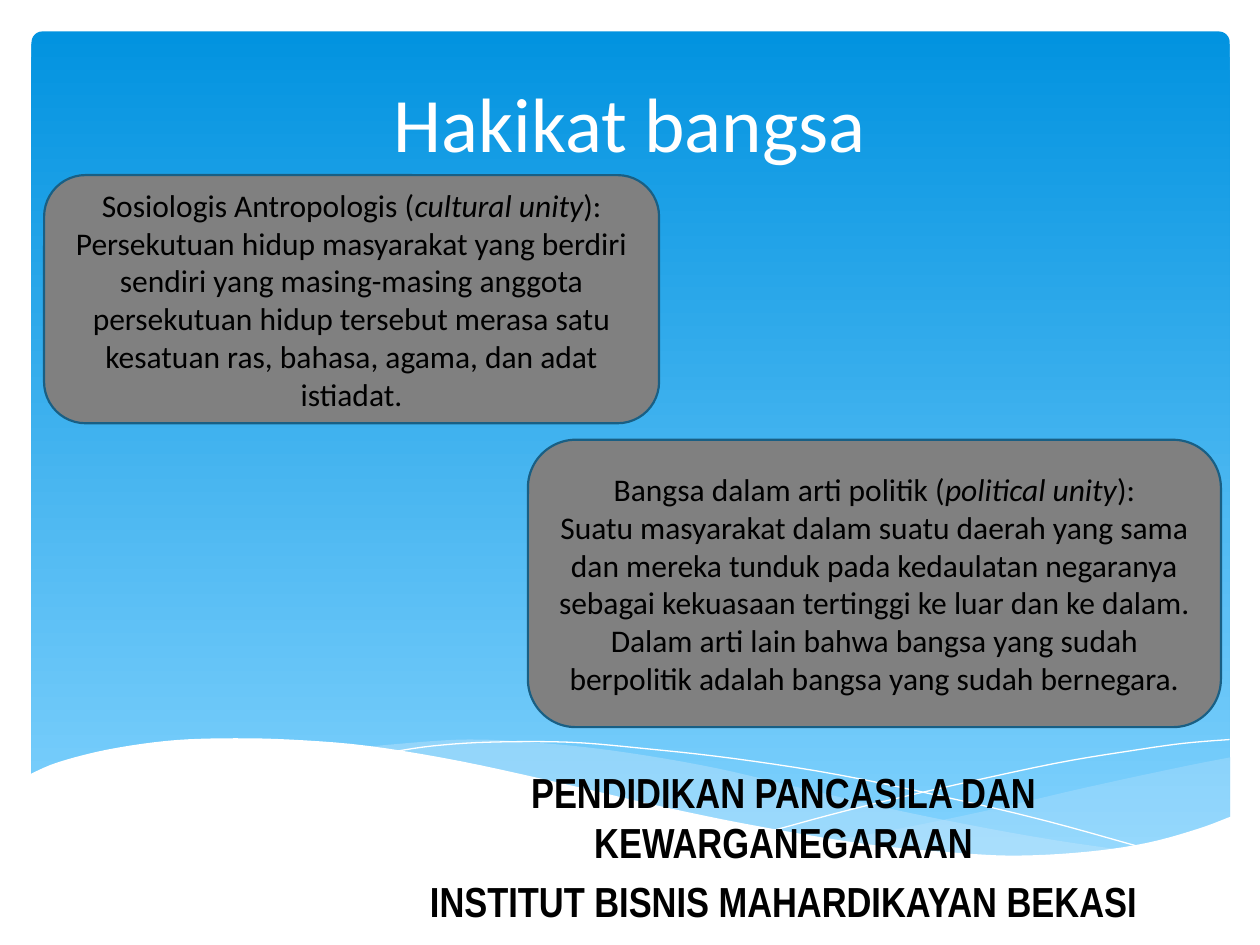
"""Build the slide "Hakikat bangsa" with its wave backdrop and two definitions."""
from lxml import etree
from pptx import Presentation
from pptx import util as u
from pptx.dml.color import RGBColor
from pptx.enum import shapes, text
from pptx.oxml.ns import qn


def color(value):
    return RGBColor.from_string(value)


def write(box, paragraphs, anchor, paragraph_format, font_format):
    frame = box.text_frame
    frame.word_wrap = True
    frame.vertical_anchor = anchor
    for index, spans in enumerate(paragraphs):
        para = frame.paragraphs[0] if index == 0 else frame.add_paragraph()
        para.alignment = text.PP_ALIGN.CENTER
        for name, value in paragraph_format.items():
            setattr(para, name, value)
        for words, italic in spans:
            span = para.add_run()
            span.text = words
            span.font.color.rgb = color(font_format["color"])
            span.font.italic = italic
            for name in ("name", "size", "bold"):
                setattr(span.font, name, font_format[name])


deck = Presentation()
deck.slide_width, deck.slide_height = u.Pt(720), u.Pt(540)
page = deck.slides.add_slide(deck.slide_layouts[6])

sky = page.shapes.add_shape(shapes.MSO_SHAPE.ROUNDED_RECTANGLE,
                            u.Pt(18), u.Pt(18), u.Pt(684.7), u.Pt(475.2))
sky.adjustments[0] = 0.013
sky.shadow.inherit = False
sky.line.fill.background()
sky.fill.gradient()
sky.fill.gradient_angle = 270
for stop, value in zip(sky.fill.gradient_stops, ("0293E0", "83D3FE")):
    stop.color.rgb = color(value)

right_wave = [
    [(703.4, 432.7), (673.9, 438.5), (620.6, 450), (561.6, 463.7), (509, 474.5),
     (476.6, 480.2)],
    [(476.6, 480.2), (517.7, 485.3), (554.4, 488.9), (586.8, 489.6), (622.1, 487.4),
     (658.1, 481.7), (684.7, 474.5), (703.4, 467.3)],
]
middle_wave = [
    [(643.7, 486), (603.4, 480.2), (558.7, 472.3), (509, 462.2), (453.6, 449.3),
     (410.4, 439.2), (370.8, 432), (334.8, 427), (302.4, 424.1), (273.6, 422.6),
     (248.4, 423.4), (206.6, 427)],
    [(206.6, 427), (247, 432.7), (291.6, 441.4), (324, 449.3), (381.6, 462.2),
     (433.4, 473), (479.5, 481), (520.6, 486.7), (557.3, 488.9), (589.7, 489.6),
     (618.5, 488.9), (643.7, 486)],
]
falling_line = [
    [(223.2, 429.8), (247.7, 426.2), (279.4, 424.1), (324.7, 424.1), (367.9, 427.7),
     (419, 433.4), (479.5, 442.8), (547.9, 457.2), (599, 469.4), (653.8, 484.6)],
]
rising_line = [
    [(442.1, 474.5), (484.6, 463), (539.3, 450), (602.6, 436.3), (645.8, 429.1),
     (676.1, 424.8), (702.7, 422.6)],
]
white_wave = [
    [(16.8, 442.6), (33.1, 435.6), (61.2, 428.4), (95, 423.4), (127.4, 421.9),
     (165.6, 422.6), (210.2, 426.2), (262.8, 434.9), (321.8, 447.8), (380.9, 461.5),
     (434.2, 472.3), (495.4, 482.4), (547.9, 487.4), (582.5, 488.9), (621.4, 486.7),
     (655.2, 481.7), (684, 473.8), (703.4, 466.6)],
    [(703.4, 526.3), (16.8, 526.3)],
]

STEPS = 5
for edges, fill, opacity in [
    (right_wave, "C6E7FC", 29),
    (middle_wave, "C6E7FC", 40),
    (falling_line, None, None),
    (rising_line, None, None),
    (white_wave, "FFFFFF", 100),
]:
    outline = []
    for knots in edges:
        padded = [knots[0], *knots, knots[-1]]
        outline.append(knots[0])
        for before, start, end, after in zip(padded, padded[1:], padded[2:], padded[3:]):
            for step in range(1, STEPS + 1):
                t = step / STEPS
                outline.append(tuple(
                    (2 * b + (c - a) * t + (2 * a - 5 * b + 4 * c - d) * t ** 2
                     + (3 * b - a - 3 * c + d) * t ** 3) / 2
                    for a, b, c, d in zip(before, start, end, after)))
    outline = [(u.Pt(x), u.Pt(y)) for x, y in outline]
    builder = page.shapes.build_freeform(*outline[0])
    builder.add_line_segments(outline[1:], close=fill is not None)
    wave = builder.convert_to_shape()
    wave.shadow.inherit = False
    if fill:
        wave.line.fill.background()
        wave.fill.solid()
        wave.fill.fore_color.rgb = color(fill)
        tint = wave.fill._xPr.find(qn("a:solidFill"))[0]
        etree.SubElement(tint, qn("a:alpha"), val=str(opacity * 1000))
    else:
        wave.fill.background()
        wave.line.color.rgb = color("FFFFFF")
        wave.line.width = u.Pt(0)

title_font = {"name": "Calibri", "size": u.Pt(44), "bold": False, "color": "FFFFFF"}
footer_font = {"name": "Arial Narrow", "size": u.Pt(24), "bold": True, "color": "000000"}
body_font = {"name": "Calibri", "size": u.Pt(18), "bold": False, "color": "000000"}

title = page.shapes.add_textbox(u.Pt(54), u.Pt(31.7), u.Pt(612), u.Pt(67.7))
write(title, [[("Hakikat bangsa", False)]], text.MSO_ANCHOR.BOTTOM, {}, title_font)

footer = page.shapes.add_textbox(u.Pt(195.8), u.Pt(434.2), u.Pt(504), u.Pt(93.6))
write(footer,
      [[("PENDIDIKAN PANCASILA DAN KEWARGANEGARAAN", False)],
       [("INSTITUT BISNIS MAHARDIKAYAN BEKASI", False)]],
      text.MSO_ANCHOR.TOP, {"space_before": u.Pt(4.8)}, footer_font)

for bounds, heading, term, body in [
    ((25.2, 100.1, 351.4, 141.8), "Sosiologis Antropologis (", "cultural unity",
     "Persekutuan hidup masyarakat yang berdiri sendiri yang masing-masing anggota "
     "persekutuan hidup tersebut merasa satu kesatuan ras, bahasa, agama, dan adat "
     "istiadat."),
    ((301.7, 251.3, 396, 164.2), "Bangsa dalam arti politik (", "political unity",
     "Suatu masyarakat dalam suatu daerah yang sama dan mereka tunduk pada kedaulatan "
     "negaranya sebagai kekuasaan tertinggi ke luar dan ke dalam. Dalam arti lain bahwa "
     "bangsa yang sudah berpolitik adalah bangsa yang sudah bernegara."),
]:
    card = page.shapes.add_shape(shapes.MSO_SHAPE.ROUNDED_RECTANGLE, *map(u.Pt, bounds))
    card.shadow.inherit = False
    card.fill.solid()
    card.fill.fore_color.rgb = color("808080")
    card.line.color.rgb = color("195F84")
    card.line.width = u.Pt(1.25)
    write(card, [[(heading, False), (term, True), ("):", False)], [(body, False)]],
          text.MSO_ANCHOR.MIDDLE, {}, body_font)

deck.save("out.pptx")
